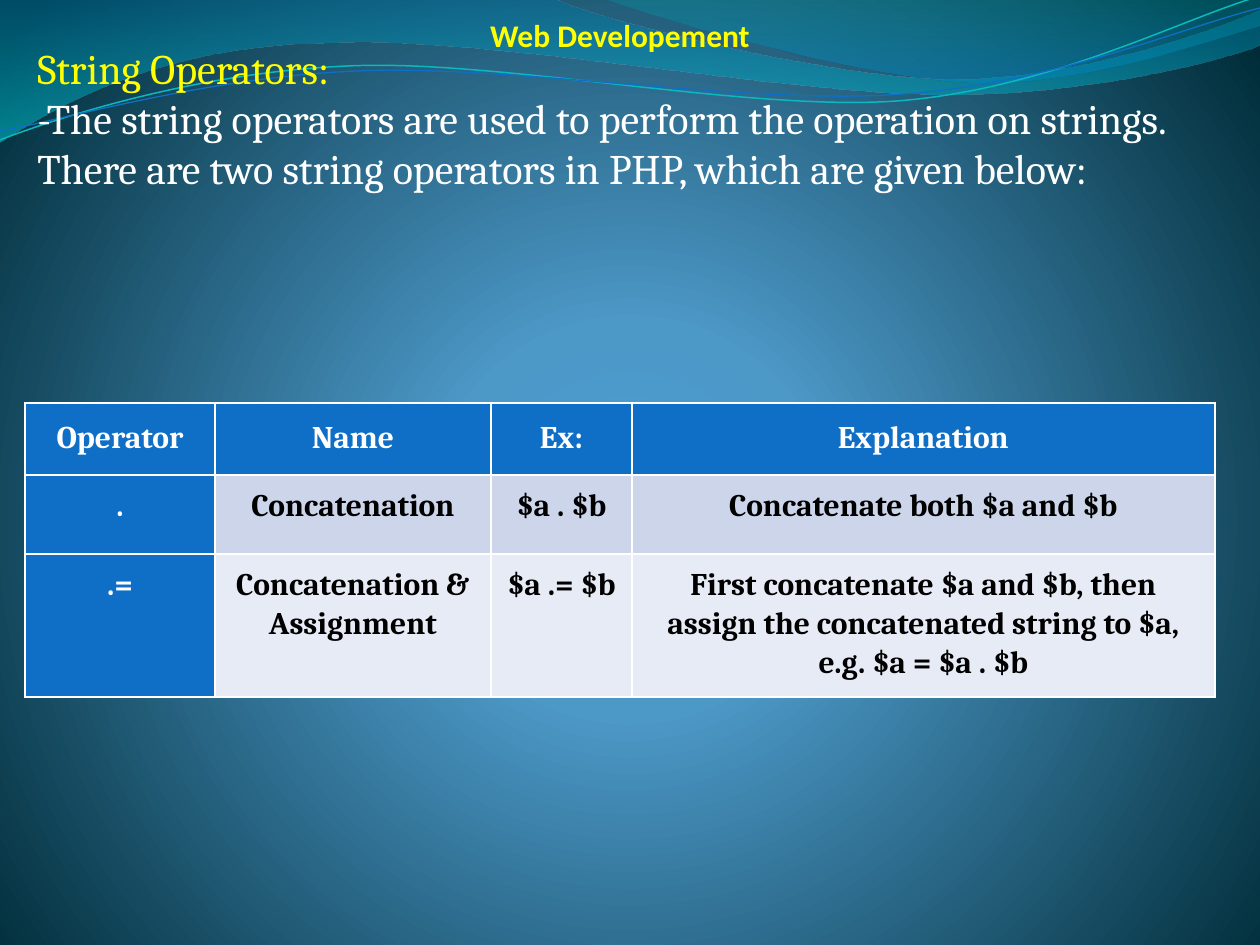
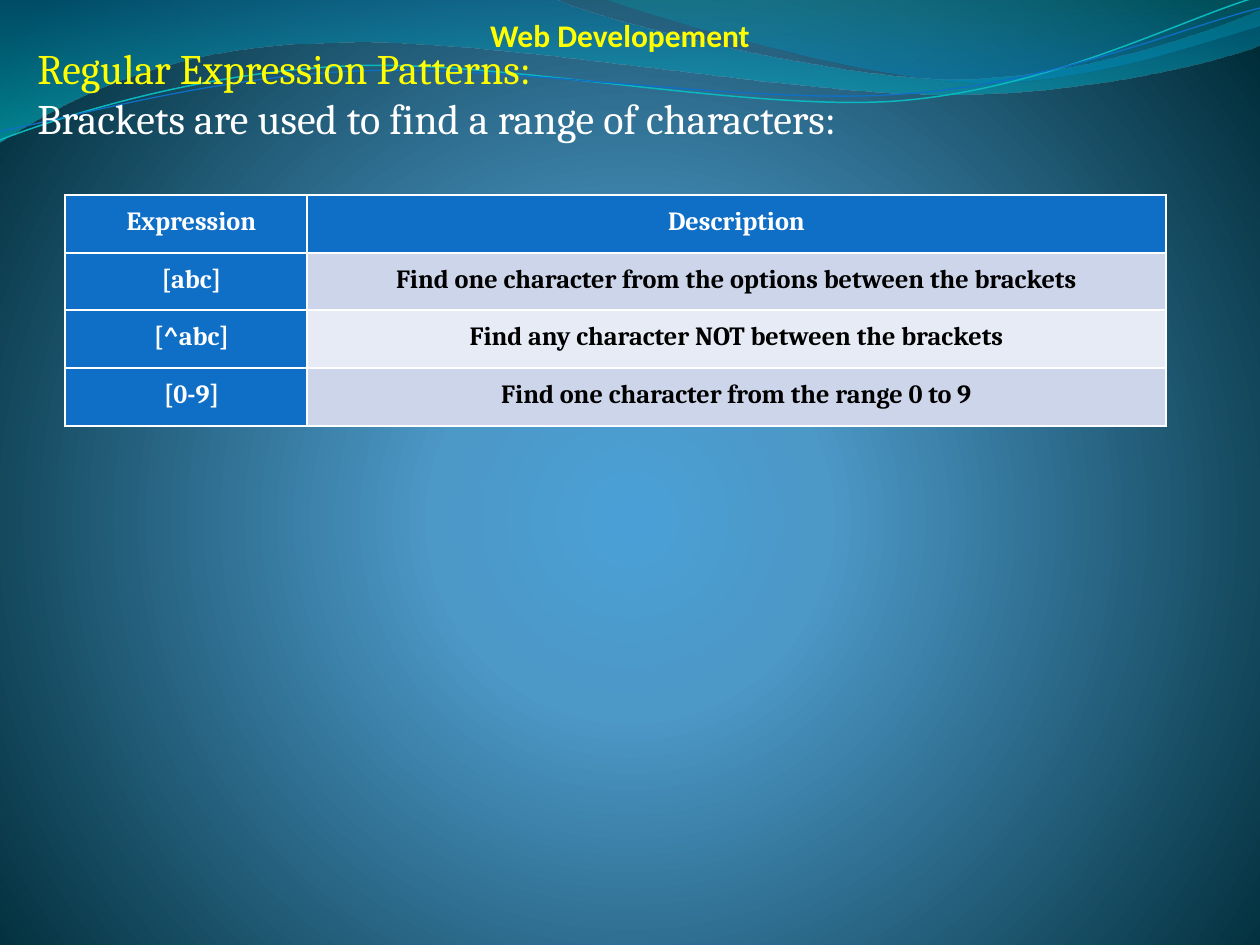
import dataclasses
import math

import pptx
import pptx.dml.color
import pptx.enum.text
import pptx.oxml
import pptx.oxml.ns
import pptx.util

PX = 914400 / 126
LINE_ROTATION = 357.3
qn = pptx.oxml.ns.qn


@dataclasses.dataclass(frozen=True)
class Theme:
    accent: str = "0F6FC6"
    heading: str = "FFFF00"
    light: str = "FFFFFF"
    dark: str = "000000"
    stripes: tuple = ("CCD5EA", "E7EBF5")
    title_font: str = "Calibri"
    body_font: str = "Cambria"
    title_size: int = 18
    body_size: int = 24
    backdrop: tuple = ((0, "4AA0D6", 100), (25, "4C98C7", 100), (100, "002C38", 100))
    wide_wave: tuple = ((0, "0074A1", 45), (100, "00C6CF", 55))
    right_wave: tuple = ((0, "00A1A9", 30), (80, "008BBF", 45))
    bright_line: str = "0AB8BF"


THEME = Theme()

# Each wave is a list of steps: one point for a start or a line,
# two control points and an end point for a curve.
WIDE_WAVE = [
    [(0, 0)], [(554, -1)], [(600, 21), (837, 79), (955, 79)],
    [(1075, 79), (1207, 33), (1260, 11)], [(1261, 45)],
    [(1239, 55), (1096, 96), (940, 94)], [(784, 94), (481, 35), (324, 43)],
    [(163, 45), (58, 105), (-1, 142)], [(0, 0)],
]
RIGHT_WAVE = [
    [(604, -1)], [(641, 14), (859, 78), (969, 82)],
    [(1079, 87), (1211, 40), (1260, 26)], [(1260, 0)], [(604, -1)],
]
BRIGHT_LINE = [
    [(0, 140)], [(60, 117), (199, 72), (349, 66)],
    [(498, 59), (747, 112), (898, 101)], [(1050, 89), (1182, 19), (1257, -3)],
]
BLUE_LINE = [
    [(0, 131)], [(59, 121), (207, 77), (357, 71)],
    [(508, 64), (752, 106), (903, 94)], [(1053, 84), (1186, 26), (1260, 8)],
]


def px(length):
    return pptx.util.Emu(round(length * PX))


def rgb(value):
    return pptx.dml.color.RGBColor.from_string(value)


def set_values(target, values):
    for name, value in values.items():
        setattr(target, name, value)


def set_font(font, color, size, name, bold=False):
    set_values(font, {"size": pptx.util.Pt(size), "name": name, "bold": bold})
    font.color.rgb = rgb(color)


def stop_xml(position, color, opacity):
    alpha = f'<a:alpha val="{opacity * 1000}"/>' if opacity < 100 else ""
    return f'<a:gs pos="{position * 1000}"><a:srgbClr val="{color}">{alpha}</a:srgbClr></a:gs>'


def set_gradient(fill, owner, stops, direction):
    """Fill with (position, colour, opacity) stops; direction is an XML element."""
    fill.gradient()
    gradient = owner.find(".//" + qn("a:gradFill"))
    for child in list(gradient):
        gradient.remove(child)
    namespace = pptx.oxml.ns.nsdecls("a")
    stop_list = "".join(stop_xml(*stop) for stop in stops)
    gradient.append(pptx.oxml.parse_xml(f"<a:gsLst {namespace}>{stop_list}</a:gsLst>"))
    gradient.append(pptx.oxml.parse_xml(direction.format(namespace=namespace)))


def turn_back(steps, center):
    """Undo LINE_ROTATION around center, so that the turned shape follows steps."""
    angle = math.radians(360 - LINE_ROTATION)
    cosine, sine = math.cos(angle), math.sin(angle)
    center_x, center_y = center
    return [
        [
            (center_x + (x - center_x) * cosine - (y - center_y) * sine,
             center_y + (x - center_x) * sine + (y - center_y) * cosine)
            for x, y in step
        ]
        for step in steps
    ]


def add_wave(slide, steps, closed):
    points = [(px(x), px(y)) for step in steps for x, y in step]
    builder = slide.shapes.build_freeform(*points[0])
    builder.add_line_segments(points[1:], close=closed)
    shape = builder.convert_to_shape()
    shape.shadow.inherit = False
    segments = iter(shape.element.findall(".//" + qn("a:lnTo")))
    for step in steps[1:]:
        first, *others = [next(segments) for _ in step]
        if others:
            first.tag = qn("a:cubicBezTo")
        for other in others:
            first.append(other[0])
            other.getparent().remove(other)
    return shape


def decorate_layout(layout, slide):
    """Give the layout its backdrop and waves, which are drawn on slide and moved."""
    set_gradient(
        layout.background.fill, layout.element, THEME.backdrop,
        '<a:path {namespace} path="circle">'
        '<a:fillToRect l="10000" t="110000" r="10000" b="100000"/></a:path>',
    )
    waves = []
    for steps, stops in ((WIDE_WAVE, THEME.wide_wave), (RIGHT_WAVE, THEME.right_wave)):
        shape = add_wave(slide, steps, True)
        set_gradient(shape.fill, shape.element, stops,
                     '<a:lin {namespace} ang="5400000" scaled="0"/>')
        shape.line.fill.background()
        waves.append(shape)
    for steps, center, color, width in (
        (BRIGHT_LINE, (629, 72), THEME.bright_line, 0.85),
        (BLUE_LINE, (629, 74), THEME.accent, 0.75),
    ):
        shape = add_wave(slide, turn_back(steps, center), False)
        shape.rotation = LINE_ROTATION
        shape.fill.background()
        shape.line.color.rgb = rgb(color)
        shape.line.width = pptx.util.Pt(width)
        waves.append(shape)
    for index, shape in enumerate(waves):
        shape.element.nvSpPr.cNvPr.set("id", str(100 + index))
        layout.shapes.element.insert(2 + index, shape.element)


def place_title(slide, box):
    title = slide.shapes.title
    set_values(title, dict(zip(("left", "top", "width", "height"), map(px, box))))
    title.text_frame.text = "Web Developement"
    set_values(title.text_frame, {
        "word_wrap": True,
        "auto_size": pptx.enum.text.MSO_AUTO_SIZE.NONE,
        "vertical_anchor": pptx.enum.text.MSO_ANCHOR.TOP,
    })
    paragraph = title.text_frame.paragraphs[0]
    paragraph.alignment = pptx.enum.text.PP_ALIGN.CENTER
    set_font(paragraph.font, THEME.heading, THEME.title_size, THEME.title_font, True)


def add_intro(slide, box, heading, sentence):
    frame = slide.shapes.add_textbox(*map(px, box)).text_frame
    frame.word_wrap = True
    frame.text = f"{heading}\n{sentence}"
    for paragraph, color in zip(frame.paragraphs, (THEME.heading, THEME.light)):
        set_font(paragraph.font, color, THEME.body_size, THEME.body_font)


def format_cell(cell, text, row, column, size, padding):
    cell.text = text
    sides = ("margin_left", "margin_top", "margin_right", "margin_bottom")
    set_values(cell, dict(zip(sides, map(px, padding))))
    is_header = row == 0 or column == 0
    cell.fill.solid()
    cell.fill.fore_color.rgb = rgb(THEME.accent if is_header else THEME.stripes[(row - 1) % 2])
    paragraph = cell.text_frame.paragraphs[0]
    set_values(paragraph, {"alignment": pptx.enum.text.PP_ALIGN.CENTER, "line_spacing": 1.07})
    set_font(paragraph.font, THEME.light if is_header else THEME.dark,
             size, THEME.body_font, True)


def add_grid(slide, origin, columns, heights, rows, size, padding_of):
    """padding_of(row, column) gives left, top, right and bottom margins in px.

    The white rules come from the default table style.
    """
    table = slide.shapes.add_table(
        len(rows), len(columns), *map(px, origin), px(sum(columns)), px(sum(heights))
    ).table
    table.first_col = True
    for column, width in zip(table.columns, columns):
        column.width = px(width)
    for row, height in zip(table.rows, heights):
        row.height = px(height)
    for row, texts in enumerate(rows):
        for column, text in enumerate(texts):
            format_cell(table.cell(row, column), text, row, column, size,
                        padding_of(row, column))


def fill_string_operators(slide):
    add_intro(
        slide, (25, 36, 1211, 267), "String Operators:",
        "-The string operators are used to perform the operation on strings. "
        "There are two string operators in PHP, which are given below:",
    )
    add_grid(
        slide, (25, 403), (190, 276, 141, 583), (72, 79, 142),
        [
            ("Operator", "Name", "Ex:", "Explanation"),
            (".", "Concatenation", "$a . $b", "Concatenate both $a and $b"),
            (".=", "Concatenation & Assignment", "$a .= $b",
             "First concatenate $a and $b, then assign the concatenated string to $a, "
             "e.g. $a = $a . $b"),
        ],
        18, lambda row, column: (15 if row == 0 else 11,) * 4,
    )


def fill_expression_patterns(slide):
    add_intro(
        slide, (25, 36, 1211, 217), "Regular Expression Patterns:",
        "Brackets are used to find a range of characters:",
    )
    add_grid(
        slide, (65, 195), (242, 859), (58, 57, 58, 58),
        [
            ("Expression", "Description"),
            ("[abc]", "Find one character from the options between the brackets"),
            ("[^abc]", "Find any character NOT between the brackets"),
            ("[0-9]", "Find one character from the range 0 to 9"),
        ],
        15, lambda row, column: (21 if column == 0 else 10, 10, 10, 10),
    )


def main():
    presentation = pptx.Presentation()
    set_values(presentation, {"slide_width": px(1260), "slide_height": px(945)})
    layout = presentation.slide_layouts.get_by_name("Title Only")
    for index, fill_slide in enumerate((fill_string_operators, fill_expression_patterns)):
        slide = presentation.slides.add_slide(layout)
        if index == 0:
            decorate_layout(layout, slide)
        place_title(slide, (226, 10, 788, 50))
        fill_slide(slide)
    presentation.save("out.pptx")


if __name__ == "__main__":
    main()
